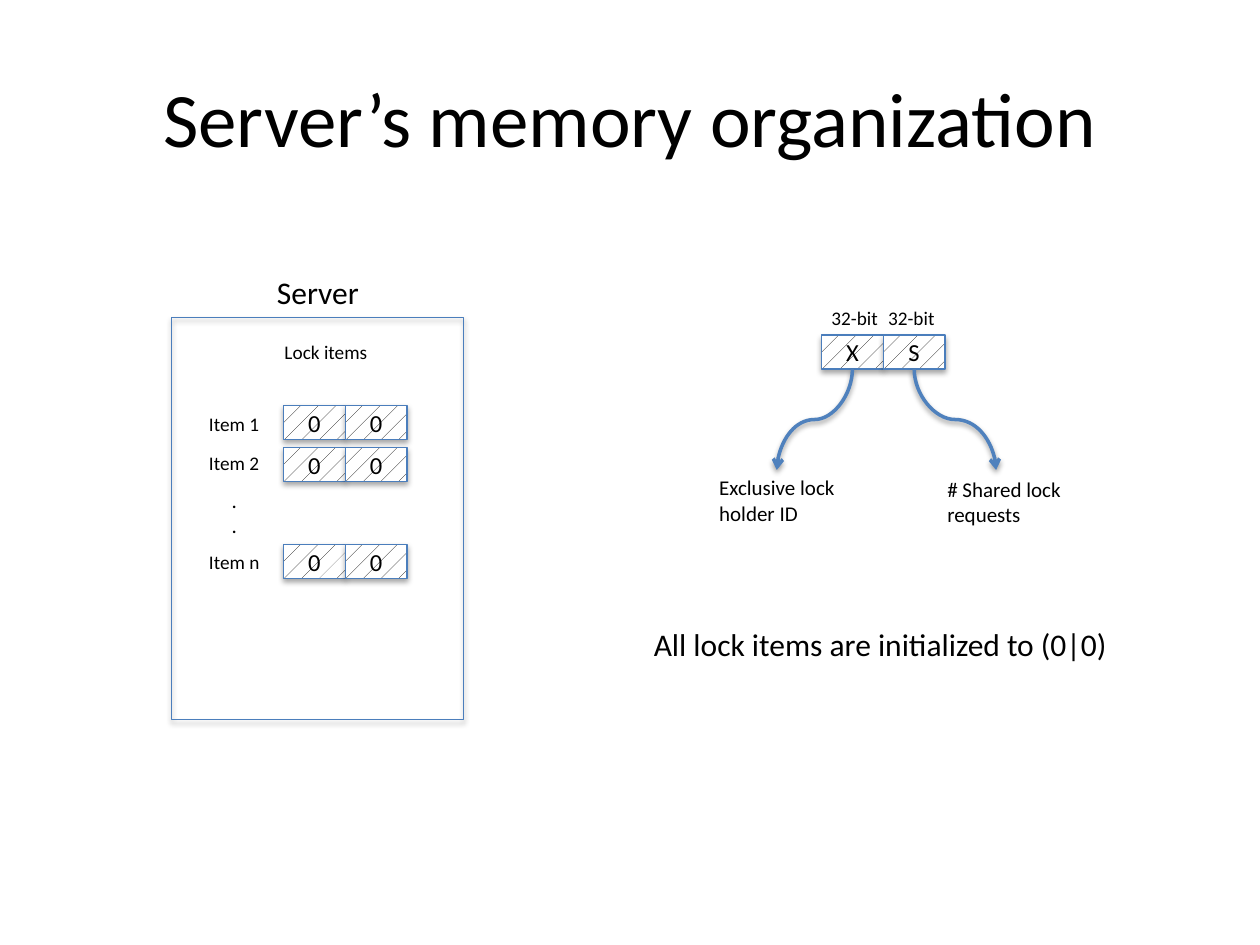
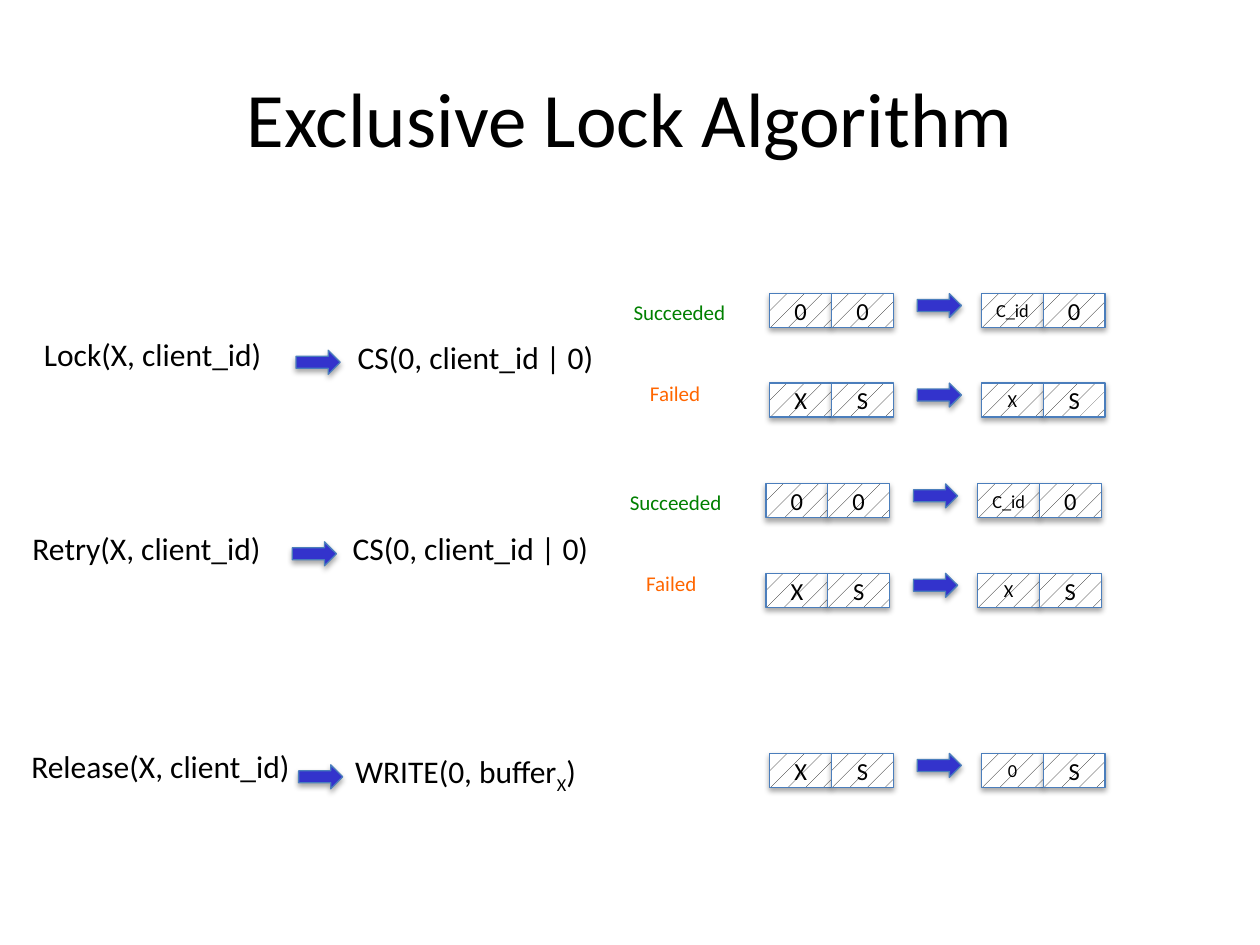
"""Build two slides on lock items in server memory and the exclusive lock algorithm."""
import dataclasses

import pptx
import pptx.dml.color
import pptx.enum.dml
import pptx.enum.shapes
import pptx.enum.text
import pptx.oxml
import pptx.oxml.ns
import pptx.util

Inches = pptx.util.Inches
Pt = pptx.util.Pt
Shape = pptx.enum.shapes.MSO_SHAPE
Align = pptx.enum.text.PP_ALIGN
Anchor = pptx.enum.text.MSO_ANCHOR
Fit = pptx.enum.text.MSO_AUTO_SIZE


@dataclasses.dataclass(frozen=True)
class Theme:
    """Colours, type sizes and cell measures that the slides share."""
    font: str = "Calibri"
    ink: str = "000000"
    paper: str = "FFFFFF"
    edge: str = "4B7EBC"
    curve: str = "4F81BD"
    arrow: str = "3333CC"
    good: str = "008000"
    bad: str = "FF6600"
    title: float = 44
    lead: float = 18
    cell: float = 14
    note: float = 12
    small: float = 11
    tiny: float = 10.5
    wide: float = 0.49
    high: float = 0.27


LOOK = Theme()


def tint(code):
    """Return the colour for a hex code."""
    return pptx.dml.color.RGBColor.from_string(code)


def say(frame, words, size=LOOK.lead, color=LOOK.ink, align=Align.LEFT, anchor=Anchor.TOP, wrap=False):
    """Write words as paragraphs; in a tuple every second part is a subscript."""
    frame.word_wrap = wrap
    frame.vertical_anchor = anchor
    parts = words if isinstance(words, tuple) else (words,)
    para = frame.paragraphs[0]
    para.alignment = align
    for index, part in enumerate(parts):
        for count, line in enumerate(part.split("\n")):
            if count:
                para = frame.add_paragraph()
                para.alignment = align
            run = para.add_run()
            run.text = line
            run.font.name = LOOK.font
            run.font.size = Pt(size)
            run.font.color.rgb = tint(color)
            if index % 2:
                run.font._element.set("baseline", "-25000")


def label(slide, x, y, w, h, words, **style):
    """Add a text box that fits its words."""
    box = slide.shapes.add_textbox(Inches(x), Inches(y), Inches(w), Inches(h))
    say(box.text_frame, words, **style)
    box.text_frame.auto_size = Fit.SHAPE_TO_FIT_TEXT


def shade(item, alpha=35, dist=23000):
    """Give a shape or connector a soft shadow below it."""
    item._element.spPr.append(pptx.oxml.parse_xml(
        f'<a:effectLst {pptx.oxml.ns.nsdecls("a")}>'
        f'<a:outerShdw blurRad="40000" dist="{dist}" dir="5400000" rotWithShape="0">'
        f'<a:srgbClr val="{LOOK.ink}"><a:alpha val="{alpha * 1000}"/></a:srgbClr>'
        '</a:outerShdw></a:effectLst>'))


def block(shapes, kind, x, y, w, h):
    """Add a preset shape with the shared edge and shadow."""
    item = shapes.add_shape(kind, Inches(x), Inches(y), Inches(w), Inches(h))
    item.line.color.rgb = tint(LOOK.edge)
    item.line.width = Pt(0.75)
    shade(item)
    return item


def pair(slide, x, y, words, first=LOOK.cell):
    """Add a lock item made of two patterned cells."""
    group = slide.shapes.add_group_shape()
    for index, (word, size) in enumerate(zip(words, (first, LOOK.cell))):
        cell = block(group.shapes, Shape.RECTANGLE, x + index * LOOK.wide, y, LOOK.wide, LOOK.high)
        cell.fill.patterned()
        cell.fill.pattern = pptx.enum.dml.MSO_PATTERN.PERCENT_5
        cell.fill.fore_color.rgb = tint(LOOK.ink)
        cell.fill.back_color.rgb = tint(LOOK.paper)
        say(cell.text_frame, word, size=size, align=Align.CENTER, anchor=Anchor.MIDDLE)


def point(slide, x, y):
    """Add a small block arrow to the right."""
    item = block(slide.shapes, Shape.RIGHT_ARROW, x, y, 0.35, 0.19)
    item.fill.solid()
    item.fill.fore_color.rgb = tint(LOOK.arrow)


def bend(slide, x, y, run, drop):
    """Add a curved arrow that leaves and arrives vertically."""
    mid, half = x + run / 2, drop / 2
    top = y + half - abs(run) / 2
    side = 1 if run > 0 else -1
    line = slide.shapes.add_connector(
        pptx.enum.shapes.MSO_CONNECTOR.CURVE,
        Inches(mid + side * half), Inches(top), Inches(mid - side * half), Inches(top + abs(run)))
    line.line.color.rgb = tint(LOOK.curve)
    line.line.width = Pt(2)
    props = line._element.spPr
    props.find(pptx.oxml.ns.qn("a:xfrm")).set("rot", "16200000" if run > 0 else "5400000")
    props.find(pptx.oxml.ns.qn("a:ln")).append(
        pptx.oxml.parse_xml(f'<a:tailEnd {pptx.oxml.ns.nsdecls("a")} type="arrow"/>'))
    shade(line, 38, 20000)


def start(deck, words):
    """Add a title-only slide and set its title."""
    slide = deck.slides.add_slide(deck.slide_layouts[5])
    title = slide.shapes.title
    title.left, title.top, title.width, title.height = map(Inches, (0.5, 0.3, 9, 1.25))
    say(title.text_frame, words, size=LOOK.title, align=Align.CENTER, anchor=Anchor.MIDDLE, wrap=True)
    return slide


def server(slide, x, y):
    """Draw the server frame with its list of lock items."""
    block(slide.shapes, Shape.RECTANGLE, x, y, 2.32, 3.19).fill.background()
    label(slide, x + 0.74, y - 0.4, 0.86, 0.4, "Server")
    label(slide, x + 0.8, y + 0.13, 0.87, 0.29, "Lock items", size=LOOK.small)
    for name, down, cell in (("1", 0.7, 0.7), ("2", 1.01, 1.03), ("n", 1.8, 1.8)):
        label(slide, x + 0.2, y + down, 0.61, 0.29, f"Item {name}", size=LOOK.small)
        pair(slide, x + 0.89, y + cell, "00")
    label(slide, x + 0.38, y + 1.3, 0.24, 0.5, ".\n.", size=LOOK.note)


def legend(slide, x, y):
    """Explain the two halves of a lock item."""
    pair(slide, x, y, "XS")
    for side in (-0.02, 0.43):
        label(slide, x + side, y - 0.28, 0.57, 0.29, "32-bit", size=LOOK.small)
    bend(slide, x + LOOK.wide / 2, y + LOOK.high, -0.6, 0.8)
    bend(slide, x + LOOK.wide * 1.5, y + LOOK.high, 0.65, 0.8)
    label(slide, x - 0.91, y + 1.06, 1.26, 0.5, "Exclusive lock holder ID", size=LOOK.note, wrap=True)
    label(slide, x + 0.9, y + 1.07, 1.14, 0.5, "# Shared lock requests", size=LOOK.note, wrap=True)
    label(slide, x - 1.43, y + 2.25, 3.85, 0.4, "All lock items are initialized to (0|0)")


def request(slide, call, arrow, reply):
    """Draw a call, an arrow and the operation it maps to."""
    label(slide, *call)
    point(slide, *arrow)
    label(slide, *reply)


def change(slide, x, y, before, after):
    """Draw a lock item before and after an operation."""
    pair(slide, x, y, before)
    point(slide, x + 1.17, y)
    pair(slide, x + 1.68, y, after, first=LOOK.tiny)


def outcome(slide, x, y):
    """Draw the succeeded and failed results of an attempt."""
    label(slide, x, y, 0.94, 0.3, "Succeeded", size=LOOK.note, color=LOOK.good)
    label(slide, x + 0.13, y + 0.64, 0.61, 0.3, "Failed", size=LOOK.note, color=LOOK.bad)
    change(slide, x + 1.18, y, "00", ("C_id", "0"))
    change(slide, x + 1.18, y + 0.71, "XS", "XS")


def main():
    """Build and save the deck."""
    deck = pptx.Presentation()
    deck.slide_width, deck.slide_height = Inches(10), Inches(7.5)

    memory = start(deck, "Server’s memory organization")
    server(memory, 1.36, 2.52)
    legend(memory, 6.52, 2.66)

    lock = start(deck, "Exclusive Lock Algorithm")
    swap = "CS(0, client_id | 0)"
    request(lock, (0.25, 2.61, 1.95, 0.4, "Lock(X, client_id)"), (2.35, 2.78),
            (2.74, 2.63, 2.09, 0.4, swap))
    outcome(lock, 4.93, 2.33)
    request(lock, (0.16, 4.15, 2.04, 0.4, "Retry(X, client_id)"), (2.32, 4.3),
            (2.7, 4.15, 2.09, 0.4, swap))
    outcome(lock, 4.9, 3.84)
    request(lock, (0.15, 5.88, 2.28, 0.4, "Release(X, client_id)"), (2.37, 6.07),
            (2.72, 5.92, 1.99, 0.4, ("WRITE(0, buffer", "X", ")")))
    change(lock, 6.11, 5.98, "XS", "0S")

    deck.save("out.pptx")


if __name__ == "__main__":
    main()
